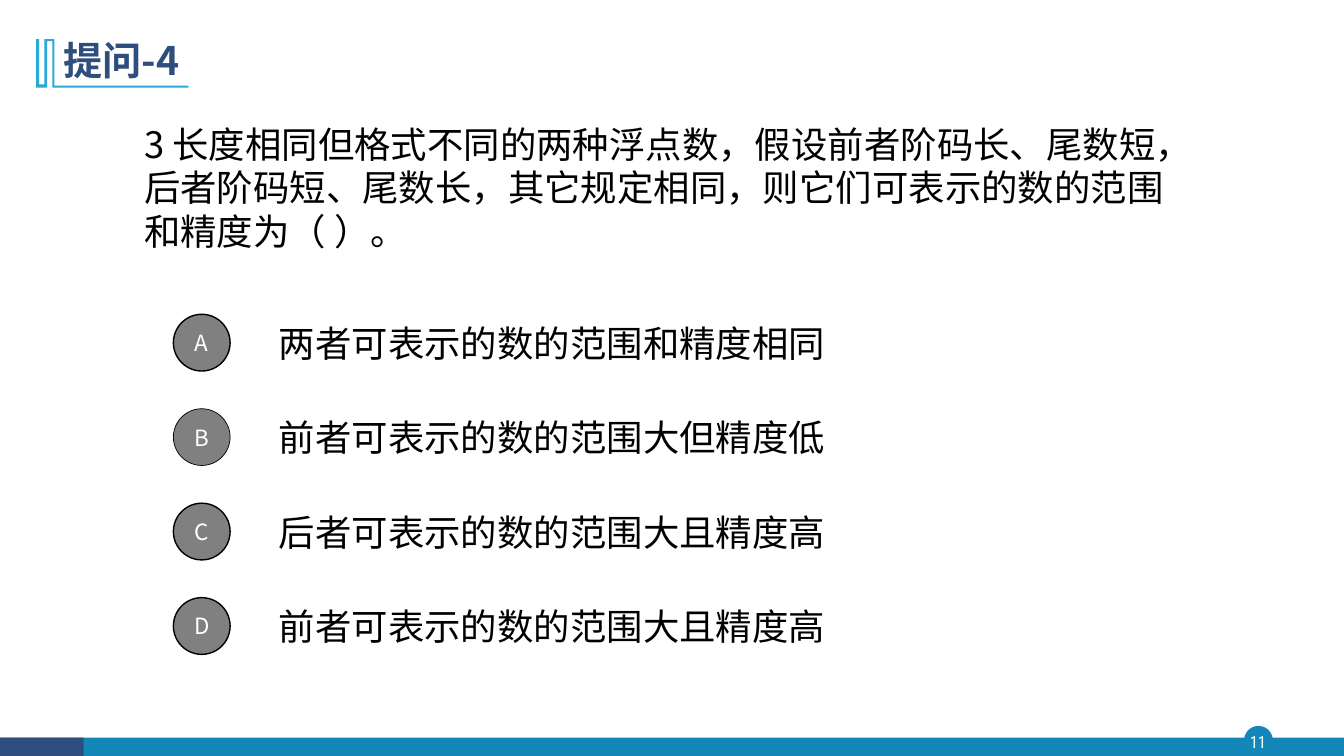
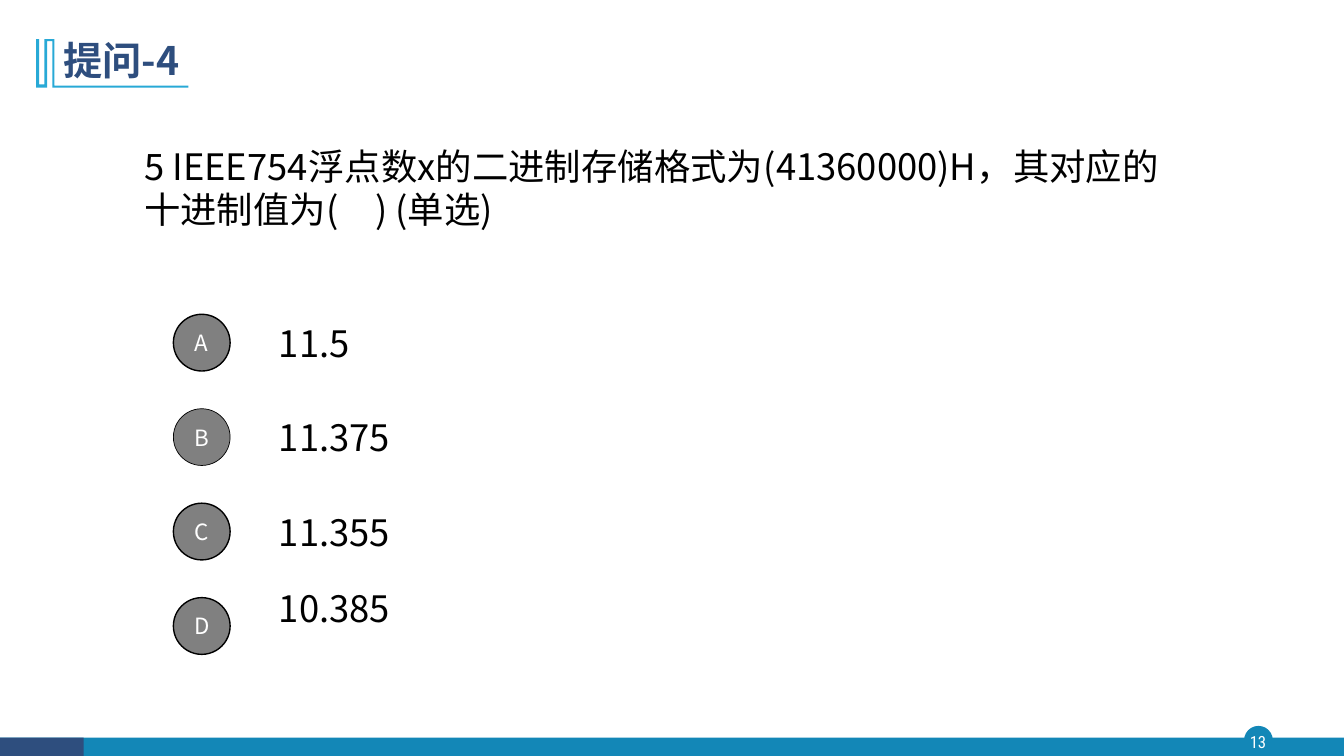
from pptx import Presentation
from pptx.dml.color import RGBColor
from pptx.enum.lang import MSO_LANGUAGE_ID
from pptx.enum.shapes import MSO_SHAPE
from pptx.enum.text import MSO_ANCHOR, MSO_AUTO_SIZE, PP_ALIGN
from pptx.oxml.ns import qn
from pptx.util import Cm, Pt

COLORS = {
    "navy": "2E4E7E",
    "blue": "1387B7",
    "cyan": "28A9D6",
    "gray": "808080",
    "black": "000000",
    "white": "FFFFFF",
}
SANS = "Noto Sans CJK SC"
NUMBER_FONT = "Roboto Condensed"

BRACKET = [
    (137, 216), (475, 216), (475, 221), (132, 221), (132, 104), (119, 104),
    (119, 221), (91, 221), (91, 99), (99, 99), (99, 213), (112, 213), (112, 99),
]
DOT, DOT_LEFT, DOT_TOP, PITCH = 1.43, 4.37, 7.92, 2.38
OPTION_HEIGHT = 1.78

QUESTIONS = [
    {
        "page": "11",
        "text": "3 长度相同但格式不同的两种浮点数，假设前者阶码长、尾数短，后者阶码短、尾数长，"
                "其它规定相同，则它们可表示的数的范围和精度为（ ）。",
        "width": 27.1,
        "options": [
            ("A", "两者可表示的数的范围和精度相同", 0),
            ("B", "前者可表示的数的范围大但精度低", 0),
            ("C", "后者可表示的数的范围大且精度高", 0),
            ("D", "前者可表示的数的范围大且精度高", 0),
        ],
    },
    {
        "page": "13",
        "text": "5 IEEE754浮点数x的二进制存储格式为(41360000)H，其对应的十进制值为(　) (单选)",
        "width": 26.72,
        "options": [
            ("A", "11.5", 0),
            ("B", "11.375", 0),
            ("C", "11.355", 0),
            ("D", "10.385", -0.45),
        ],
    },
]


def write(sp, text, size, color, font=SANS, align=PP_ALIGN.LEFT, inset=None):
    tf = sp.text_frame
    tf.word_wrap = True
    tf.auto_size = MSO_AUTO_SIZE.NONE
    tf.vertical_anchor = MSO_ANCHOR.MIDDLE
    if inset is not None:
        tf.margin_left = tf.margin_right = tf.margin_top = tf.margin_bottom = Cm(inset)
    p = tf.paragraphs[0]
    p.alignment = align
    r = p.add_run()
    r.text = text
    r.font.size = Pt(size)
    r.font.name = font
    r.font.language_id = MSO_LANGUAGE_ID.SIMPLIFIED_CHINESE
    r.font.color.rgb = RGBColor.from_string(COLORS[color])
    ea = r.font._element.makeelement(qn("a:ea"), {"typeface": font})
    r.font._element.find(qn("a:latin")).addnext(ea)
    return p


def paint(sp, fill, line=None, width=1):
    sp.shadow.inherit = False
    sp.fill.solid()
    sp.fill.fore_color.rgb = RGBColor.from_string(COLORS[fill])
    if line:
        sp.line.color.rgb = RGBColor.from_string(COLORS[line])
        sp.line.width = Pt(width)
    else:
        sp.line.fill.background()


prs = Presentation()
prs.slide_width = Cm(33.87)
prs.slide_height = Cm(19.05)

for question in QUESTIONS:
    s = prs.slides.add_slide(prs.slide_layouts[5])

    badge = s.shapes.add_shape(MSO_SHAPE.OVAL, Cm(31.37), Cm(18.31), Cm(0.69), Cm(0.69))
    paint(badge, "blue", "blue")
    for width, color in ((33.87, "blue"), (2.11, "navy")):
        band = s.shapes.add_shape(MSO_SHAPE.RECTANGLE, 0, Cm(18.59), Cm(width), Cm(0.46))
        paint(band, color)
    number = s.shapes.add_textbox(Cm(31.3), Cm(18.31), Cm(0.81), Cm(0.79))
    write(number, question["page"], 12, "white", NUMBER_FONT, PP_ALIGN.CENTER, 0)

    outline = s.shapes.build_freeform(137, 99, scale=Cm(0.01))
    outline.add_line_segments(BRACKET, close=True)
    paint(outline.convert_to_shape(), "cyan")

    title = s.shapes.title
    title.left, title.top, title.width, title.height = Cm(1.35), Cm(0.71), Cm(29.21), Cm(1.73)
    p = write(title, "提问-4", 28, "navy")
    p.line_spacing = 0.9
    p.runs[0].font.bold = True

    stem = s.shapes.add_textbox(Cm(3.38), Cm(1.75), Cm(question["width"]), Cm(5.94))
    write(stem, question["text"], 26, "black")

    for i, (letter, text, shift) in enumerate(question["options"]):
        top = DOT_TOP + i * PITCH
        dot = s.shapes.add_shape(MSO_SHAPE.OVAL, Cm(DOT_LEFT), Cm(top), Cm(DOT), Cm(DOT))
        paint(dot, "gray", "black", 0.5 if letter == "B" else 1)
        write(dot, letter, 16, "white", align=PP_ALIGN.CENTER, inset=0)
        option_top = top + (DOT - OPTION_HEIGHT) / 2 + shift
        option = s.shapes.add_textbox(Cm(6.78), Cm(option_top), Cm(23.7), Cm(OPTION_HEIGHT))
        write(option, text, 26, "black")

prs.save("out.pptx")
